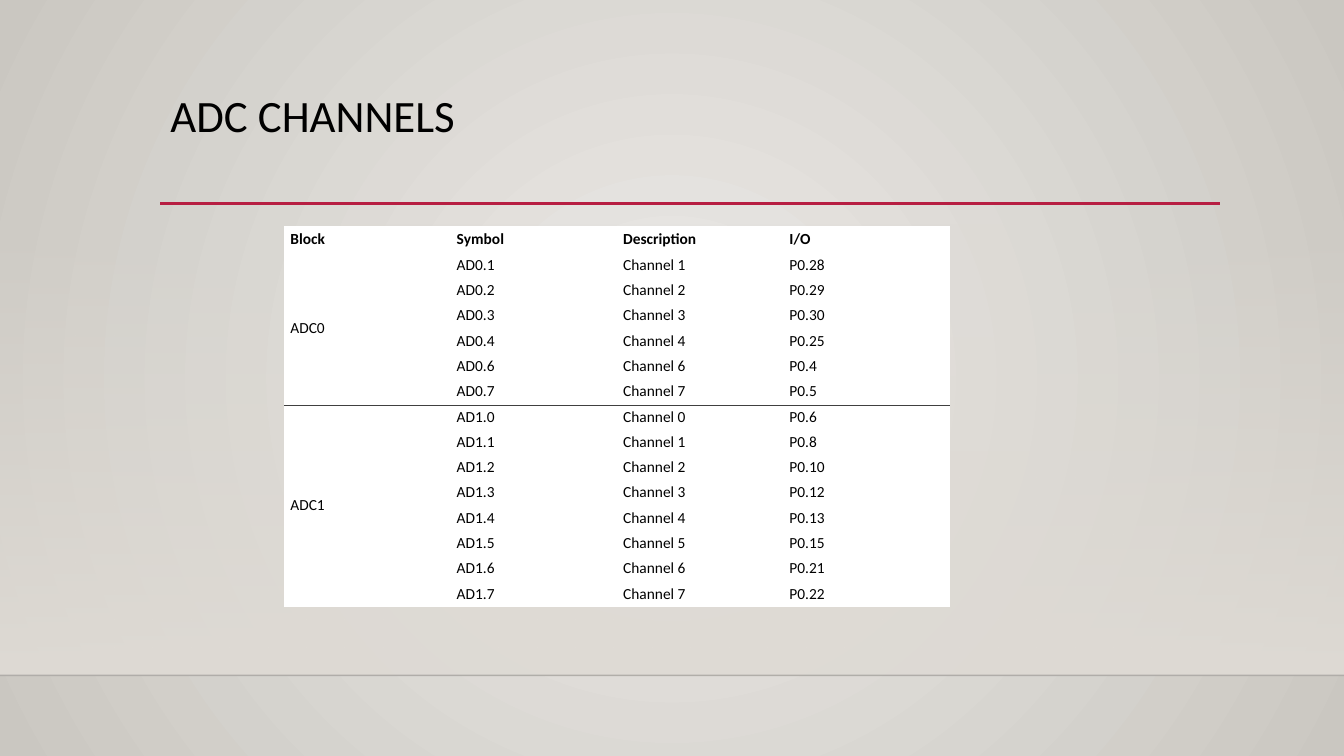
from pptx import Presentation
from pptx import util as u
from pptx.dml.color import RGBColor
from pptx.enum import shapes, text
from pptx.oxml import parse_xml
from pptx.oxml.ns import nsdecls, qn

HEADINGS = ["Block", "Symbol", "Description", "I/O"]
BLOCKS = {
    "ADC0": {1: "P0.28", 2: "P0.29", 3: "P0.30", 4: "P0.25", 6: "P0.4", 7: "P0.5"},
    "ADC1": {0: "P0.6", 1: "P0.8", 2: "P0.10", 3: "P0.12",
             4: "P0.13", 5: "P0.15", 6: "P0.21", 7: "P0.22"},
}
RADIAL = ('<a:path path="circle"><a:fillToRect l="50000" t="50000" '
          'r="50000" b="50000"/></a:path>')
DOWNWARD = '<a:lin ang="5400000" scaled="0"/>'


def rgb(value):
    return RGBColor.from_string(value)


def apply(target, values):
    for name, value in values.items():
        setattr(target, name, value)


def add_alpha(color, percent):
    """Give a colour element an opacity in percent."""
    color.append(parse_xml(f'<a:alpha {nsdecls("a")} val="{percent * 1000}"/>'))


class Deck:
    font = "Calibri"
    ink = "000000"
    cell_format = {
        "vertical_anchor": text.MSO_ANCHOR.MIDDLE,
        "margin_left": u.Inches(0.06), "margin_right": u.Inches(0.06),
        "margin_top": u.Inches(0.03), "margin_bottom": u.Inches(0.03),
    }

    def __init__(self, width, height):
        self.presentation = Presentation()
        apply(self.presentation, {"slide_width": u.Inches(width),
                                  "slide_height": u.Inches(height)})
        self.slide = self.presentation.slides.add_slide(
            self.presentation.slide_layouts[5])

    def style_font(self, font, size, bold=False):
        apply(font, {"name": self.font, "size": u.Pt(size), "bold": bold})
        font.color.rgb = rgb(self.ink)

    def gradient(self, fill, owner, stops, direction):
        """Fill with (position, colour, opacity) stops; owner holds the fill."""
        fill.gradient()
        old = next(owner.iter(qn("a:gradFill")))
        marks = "".join(
            f'<a:gs pos="{position * 1000}"><a:srgbClr val="{color}">'
            f'<a:alpha val="{opacity * 1000}"/></a:srgbClr></a:gs>'
            for position, color, opacity in stops)
        old.getparent().replace(old, parse_xml(
            f'<a:gradFill {nsdecls("a")} rotWithShape="1"><a:gsLst>{marks}'
            f'</a:gsLst>{direction}</a:gradFill>'))

    def background(self, inner, outer):
        self.gradient(self.slide.background.fill, self.slide.element,
                      [(0, inner, 100), (100, outer, 100)], RADIAL)

    def fading_panel(self, left, top, width, height, color):
        panel = self.slide.shapes.add_shape(
            shapes.MSO_SHAPE.RECTANGLE, *map(u.Inches, (left, top, width, height)))
        panel.shadow.inherit = False
        panel.line.fill.background()
        self.gradient(panel.fill, panel.element,
                      [(0, color, 0), (100, color, 100)], DOWNWARD)

    def rule(self, left, right, y, color, weight, opacity=100):
        rule = self.slide.shapes.add_connector(
            shapes.MSO_CONNECTOR.STRAIGHT, *map(u.Inches, (left, y, right, y)))
        rule.line.color.rgb = rgb(color)
        rule.line.width = u.Pt(weight)
        properties = rule.element.spPr
        if opacity < 100:
            add_alpha(next(properties.iter(qn("a:srgbClr"))), opacity)
        properties.append(parse_xml(f'<a:effectLst {nsdecls("a")}/>'))

    def title(self, wording, left, top, width, height):
        title = self.slide.shapes.title
        apply(title, {"left": u.Inches(left), "top": u.Inches(top),
                      "width": u.Inches(width), "height": u.Inches(height)})
        frame = title.text_frame
        frame.text = wording
        apply(frame, {"word_wrap": True, "vertical_anchor": text.MSO_ANCHOR.TOP,
                      "auto_size": text.MSO_AUTO_SIZE.NONE})
        apply(frame.paragraphs[0], {"alignment": text.PP_ALIGN.LEFT,
                                    "line_spacing": 0.9})
        self.style_font(frame.paragraphs[0].runs[0].font, 32)

    def cell(self, cell, wording, bold):
        cell.text = wording
        apply(cell, self.cell_format)
        cell.fill.solid()
        cell.fill.fore_color.rgb = rgb("FFFFFF")
        self.style_font(cell.text_frame.paragraphs[0].font, 11, bold)
        for run in cell.text_frame.paragraphs[0].runs:
            self.style_font(run.font, 11, bold)
        properties = cell._tc.get_or_add_tcPr()
        for index, side in enumerate("LRTB"):
            properties.insert(index, parse_xml(
                f'<a:ln{side} {nsdecls("a")} w="{u.Pt(0.5)}"><a:solidFill>'
                f'<a:srgbClr val="FFFFFF"/></a:solidFill></a:ln{side}>'))

    def channel_table(self, left, top, width, height):
        rows = [HEADINGS]
        spans = []
        for block, pins in BLOCKS.items():
            spans.append((len(rows), len(rows) + len(pins) - 1))
            for index, (channel, pin) in enumerate(pins.items()):
                rows.append(["" if index else block, f"{block[:2]}{block[-1]}.{channel}",
                             f"Channel {channel}", pin])
        table = self.slide.shapes.add_table(
            len(rows), len(HEADINGS),
            *map(u.Inches, (left, top, width, height))).table
        apply(table, {"first_row": False, "horz_banding": False})
        for r, row in enumerate(rows):
            for c, wording in enumerate(row):
                self.cell(table.cell(r, c), wording, bold=r == 0)
        for first, last in spans:
            table.cell(first, 0).merge(table.cell(last, 0))


def main():
    deck = Deck(13.33, 7.5)
    deck.background("ECEAE7", "CAC7C1")
    deck.fading_panel(0, 2.21, 13.33, 4.49, "DFDBD5")
    deck.rule(0, 13.33, 6.7, "000001", 1, opacity=20)
    deck.rule(1.59, 12.1, 2.02, "B71E42", 2.5)
    deck.title("ADC CHANNELS", 1.59, 0.88, 10.5, 1.15)
    deck.channel_table(2.82, 2.25, 6.6, 3.77)
    deck.rule(2.82, 9.42, 4.02, "404040", 0.75)
    deck.presentation.save("out.pptx")


if __name__ == "__main__":
    main()
